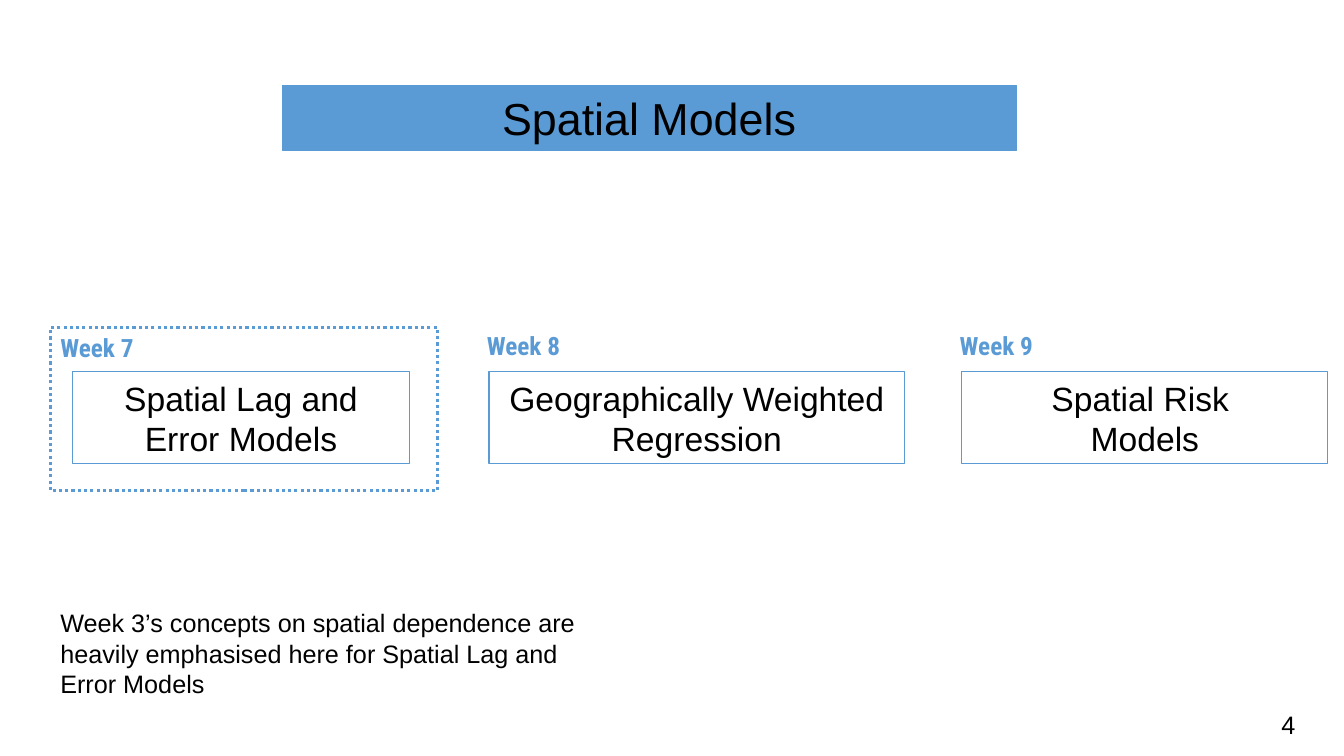
from pptx import Presentation
from pptx.dml.color import RGBColor
from pptx.enum.dml import MSO_LINE
from pptx.enum.shapes import MSO_SHAPE
from pptx.enum.text import MSO_ANCHOR, MSO_AUTO_SIZE, PP_ALIGN
from pptx.util import Inches, Pt

BLUE = RGBColor(0x5B, 0x9B, 0xD5)
WHITE = RGBColor(255, 255, 255)
BLACK = RGBColor(0, 0, 0)

TITLE = "Spatial Models"
NOTE = ("Week 3’s concepts on spatial dependence are heavily emphasised "
        "here for Spatial Lag and Error Models")
PAGE = "4"
WEEKS = [
    {"label": "Week 7", "topic": "Spatial Lag and Error Models",
     "box": (0.72, 3.34), "frame": (0.5, 3.25, 3.84), "edge": BLUE},
    {"label": "Week 8", "topic": "Geographically Weighted Regression",
     "box": (4.85, 4.12), "frame": (4.73, 3.23, 4.47), "edge": WHITE},
    {"label": "Week 9", "topic": "Spatial Risk \nModels",
     "box": (9.54, 3.63), "frame": (9.42, 3.23, 3.91), "edge": WHITE},
]
BOX_TOP, BOX_HIGH, FRAME_HIGH = 3.69, 0.91, 1.62

BODY = {"name": "Arial", "size": Pt(18), "bold": False, "color": BLACK}
HEAD = {**BODY, "size": Pt(32)}
TOPIC = {**BODY, "size": Pt(24)}
LABEL = {"name": "Roboto Condensed", "size": Pt(18), "bold": True, "color": BLUE}


def write(shape, text, style, align=PP_ALIGN.LEFT, anchor=MSO_ANCHOR.TOP):
    frame = shape.text_frame
    frame.text = text
    form = {"word_wrap": True, "auto_size": MSO_AUTO_SIZE.NONE,
            "vertical_anchor": anchor}
    for key, value in form.items():
        setattr(frame, key, value)
    for para in frame.paragraphs:
        para.alignment = align
        for key, value in style.items():
            if key == "color":
                para.font.color.rgb = value
            else:
                setattr(para.font, key, value)


def outline(shape, color, width, dash=None):
    shape.line.color.rgb = color
    shape.line.width = Pt(width)
    if dash:
        shape.line.dash_style = dash


def draw_box(slide, place, color, width, dash=None):
    shape = slide.shapes.add_shape(MSO_SHAPE.RECTANGLE, *map(Inches, place))
    shape.shadow.inherit = False
    shape.fill.background()
    outline(shape, color, width, dash)
    return shape


def add_text(slide, place, text):
    write(slide.shapes.add_textbox(*map(Inches, place)), text, BODY)


def main():
    deck = Presentation()
    deck.slide_width, deck.slide_height = Inches(13.33), Inches(7.5)
    slide = deck.slides.add_slide(deck.slide_layouts[5])

    title = slide.shapes.title
    for key, value in zip(("left", "top", "width", "height"),
                          (2.8, 0.85, 7.28, 0.64)):
        setattr(title, key, Inches(value))
    title.fill.solid()
    title.fill.fore_color.rgb = BLUE
    outline(title, BLUE, 0.75)
    write(title, TITLE, HEAD, PP_ALIGN.CENTER, MSO_ANCHOR.MIDDLE)

    for week in WEEKS:
        left, wide = week["box"]
        box = draw_box(slide, (left, BOX_TOP, wide, BOX_HIGH), BLUE, 0.75)
        write(box, week["topic"], TOPIC, PP_ALIGN.CENTER, MSO_ANCHOR.MIDDLE)
        frame = draw_box(slide, (*week["frame"], FRAME_HIGH), week["edge"],
                         2.25, MSO_LINE.ROUND_DOT)
        write(frame, week["label"], LABEL)

    add_text(slide, (0.5, 5.98, 5.56, 1.01), NOTE)
    add_text(slide, (12.61, 6.99, 0.59, 0.16), PAGE)
    deck.save("out.pptx")


if __name__ == "__main__":
    main()
